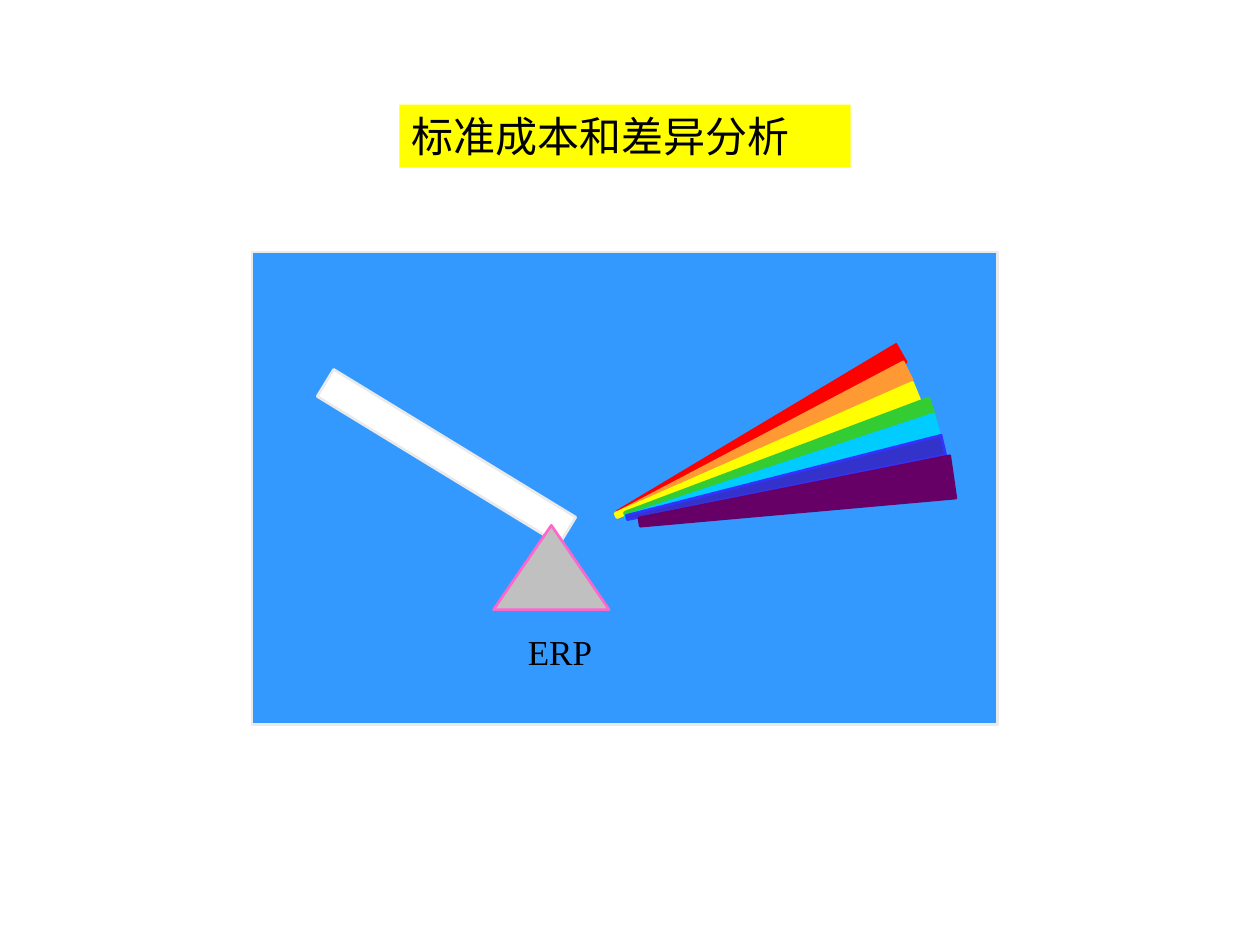
import pptx
import pptx.dml.color
import pptx.enum.shapes
import pptx.enum.text
import pptx.oxml.ns
import pptx.util
from lxml import etree

Cm = pptx.util.Cm
Pt = pptx.util.Pt
RGBColor = pptx.dml.color.RGBColor
Preset = pptx.enum.shapes.MSO_SHAPE
Align = pptx.enum.text.PP_ALIGN

SKY = RGBColor(0x33, 0x99, 0xFF)
PALE = RGBColor(0xEA, 0xEA, 0xEA)
WHITE = RGBColor(0xFF, 0xFF, 0xFF)
BLACK = RGBColor(0x00, 0x00, 0x00)
GREY = RGBColor(0xC0, 0xC0, 0xC0)
PINK = RGBColor(0xFF, 0x66, 0xCC)
RED = RGBColor(0xFF, 0x00, 0x00)
ORANGE = RGBColor(0xFF, 0x99, 0x33)
YELLOW = RGBColor(0xFF, 0xFF, 0x00)
GREEN = RGBColor(0x33, 0xCC, 0x33)
CYAN = RGBColor(0x00, 0xCC, 0xFF)
INDIGO = RGBColor(0x33, 0x33, 0xCC)
BLUE = RGBColor(0x33, 0x33, 0xFF)
PURPLE = RGBColor(0x66, 0x00, 0x66)

NARROW = (0.41, 6.55, 0.09)
BROAD = (0.86, 6.38, 0.17)
RAYS = [
    (15.11, 5.46, 60.5, NARROW, RED, RED),
    (15.16, 5.66, 63.6, NARROW, ORANGE, ORANGE),
    (15.24, 5.87, 67.6, NARROW, YELLOW, YELLOW),
    (15.49, 6.02, 70.8, NARROW, GREEN, GREEN),
    (15.54, 6.22, 73.1, NARROW, CYAN, CYAN),
    (15.62, 6.43, 77.1, NARROW, INDIGO, BLUE),
    (15.62, 6.88, 81.8, BROAD, PURPLE, PURPLE),
]
FRAME = {
    "margin_left": Cm(0.25), "margin_right": Cm(0.25),
    "margin_top": Cm(0.13), "margin_bottom": Cm(0.13),
    "vertical_anchor": pptx.enum.text.MSO_ANCHOR.MIDDLE,
    "auto_size": pptx.enum.text.MSO_AUTO_SIZE.NONE,
}


def apply(target, values):
    """Set every attribute named in a dict of format values."""
    for key, value in values.items():
        setattr(target, key, value)


def paint(shape, fill, outline):
    """Give a shape a flat fill and a thin outline without shadow."""
    shape.shadow.inherit = False
    shape.fill.solid()
    shape.fill.fore_color.rgb = fill
    shape.line.color.rgb = outline
    shape.line.width = Pt(1.5)


def add_figure(slide, preset, box, fill, outline, rotation=0):
    """Add one painted preset shape."""
    figure = slide.shapes.add_shape(preset, *map(Cm, box))
    figure.rotation = rotation
    paint(figure, fill, outline)


def add_ray(slide, left, top, rotation, size, fill, outline):
    """Add one tapering ray, wide at its far end."""
    width, height, tip = size
    inset = (width - tip) / 2
    corners = [(left + width, top), (left + width - inset, top + height),
               (left + inset, top + height)]
    outline_path = slide.shapes.build_freeform(Cm(left), Cm(top))
    outline_path.add_line_segments([(Cm(x), Cm(y)) for x, y in corners])
    ray = outline_path.convert_to_shape()
    ray.rotation = rotation
    paint(ray, fill, outline)
    return ray


def write(shape, text, typeface, size, alignment, wrap):
    """Write one formatted line of text into a shape."""
    frame = shape.text_frame
    apply(frame, {**FRAME, "word_wrap": wrap})
    line = frame.paragraphs[0]
    apply(line, {"alignment": alignment, "space_before": Pt(0)})
    run = line.add_run()
    run.text = text
    apply(run.font, {"name": typeface, "size": Pt(size)})
    run.font.color.rgb = BLACK
    east_asian = etree.SubElement(run.font._element, pptx.oxml.ns.qn("a:ea"))
    east_asian.set("typeface", typeface)


def add_heading(slide, text, box):
    """Place the slide title on its yellow band."""
    heading = slide.shapes.title
    apply(heading, dict(zip(("left", "top", "width", "height"), map(Cm, box))))
    heading.fill.solid()
    heading.fill.fore_color.rgb = YELLOW
    write(heading, text, "Noto Sans CJK SC", 24, Align.LEFT, True)


def add_label(slide, text, box):
    """Add a centred caption."""
    label = slide.shapes.add_textbox(*map(Cm, box))
    write(label, text, "Times New Roman", 20, Align.CENTER, False)


def main():
    """Build the slide of a prism that splits a beam and save it."""
    deck = pptx.Presentation()
    apply(deck, {"slide_width": Cm(25.4), "slide_height": Cm(19.05)})
    slide = deck.slides.add_slide(deck.slide_layouts[5])
    add_heading(slide, "标准成本和差异分析", (8.05, 2.11, 9.1, 1.27))
    add_figure(slide, Preset.RECTANGLE, (5.08, 5.08, 15.03, 9.53), SKY, PALE)
    add_figure(slide, Preset.RECTANGLE, (6.14, 8.89, 5.72, 0.64), WHITE, PALE, 31.4)
    add_figure(slide, Preset.ISOSCELES_TRIANGLE, (9.95, 10.59, 2.33, 1.7), GREY, PINK)
    slide.shapes.add_group_shape([add_ray(slide, *ray) for ray in RAYS])
    add_label(slide, "ERP", (10.39, 12.57, 1.8, 1.12))
    deck.save("out.pptx")


if __name__ == "__main__":
    main()
